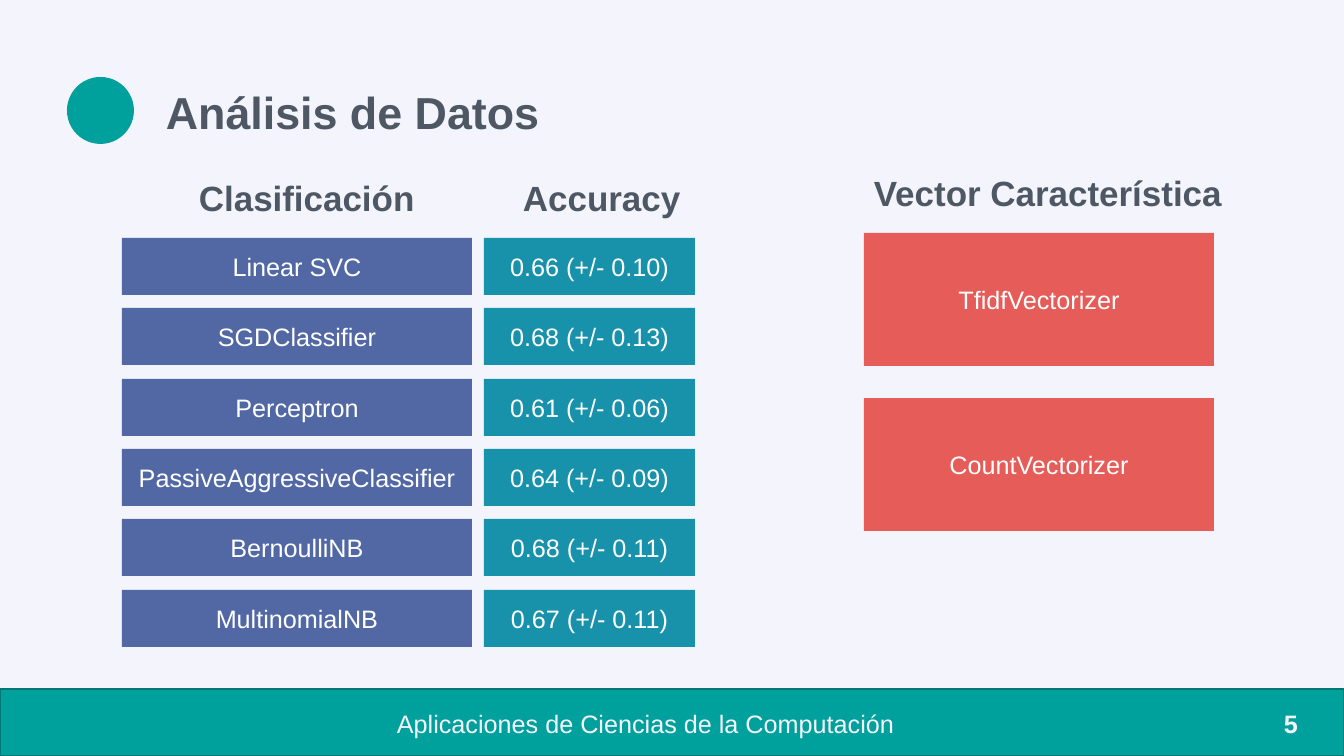
from pptx import Presentation
from pptx.dml.color import RGBColor
from pptx.enum.shapes import MSO_SHAPE
from pptx.enum.text import MSO_ANCHOR, MSO_AUTO_SIZE, PP_ALIGN
from pptx.util import Emu, Pt

RECT, ELLIPSE = MSO_SHAPE.RECTANGLE, MSO_SHAPE.OVAL
MIDDLE, CENTER = MSO_ANCHOR.MIDDLE, PP_ALIGN.CENTER
GROW = MSO_AUTO_SIZE.SHAPE_TO_FIT_TEXT

EMU_PER_PX = 914400 / 100.8
FONT = "Arial"
PALE, INK, WHITE = "F4F5FC", "4E5865", "FFFFFF"
TEAL, DARK_TEAL = "00A09D", "007674"
BLUE, CYAN, CORAL = "5268A5", "1891AB", "E55C59"


def px(length):
    return Emu(round(length * EMU_PER_PX))


def color(hex_string):
    return RGBColor.from_string(hex_string)


class Deck:
    def __init__(self, width, height, background):
        self.prs = Presentation()
        self.prs.slide_width, self.prs.slide_height = px(width), px(height)
        self.slide = self.prs.slides.add_slide(self.prs.slide_layouts[6])
        self.slide.background.fill.solid()
        self.slide.background.fill.fore_color.rgb = color(background)

    def add_run(self, paragraph, text, size, ink, bold=False):
        run = paragraph.add_run()
        run.text = text
        run.font.name, run.font.size, run.font.bold = FONT, Pt(size), bold
        run.font.color.rgb = color(ink)

    def shape(self, box, fill, kind=RECT, outline=None):
        shape = self.slide.shapes.add_shape(kind, *map(px, box))
        shape.shadow.inherit = False
        shape.fill.solid()
        shape.fill.fore_color.rgb = color(fill)
        if outline:
            shape.line.color.rgb = color(outline)
            shape.line.width = Pt(1)
        else:
            shape.line.fill.background()
        return shape

    def block(self, box, fill, text):
        frame = self.shape(box, fill).text_frame
        frame.word_wrap = True
        frame.vertical_anchor = MIDDLE
        frame.paragraphs[0].alignment = CENTER
        self.add_run(frame.paragraphs[0], text, 18, WHITE)

    def label(self, box, text, size, ink=INK, bold=True, wrap=False):
        frame = self.slide.shapes.add_textbox(*map(px, box)).text_frame
        frame.word_wrap = wrap
        frame.auto_size = GROW
        self.add_run(frame.paragraphs[0], text, size, ink, bold)


def main():
    deck = Deck(1344, 756, PALE)

    # Title
    deck.label((156, 80, 397, 65), "Análisis de Datos", 32)
    deck.shape((67, 77, 67, 67), TEAL, ELLIPSE)

    # Footer
    deck.shape((0, 689, 1344, 67), TEAL, outline=DARK_TEAL)
    deck.label((1274, 703, 53, 40), "5", 18, PALE, wrap=True)
    deck.label((387, 703, 522, 40), "Aplicaciones de Ciencias de la Computación",
               18, PALE, bold=False)

    # Classifiers and their accuracy
    accuracies = [
        ("Linear SVC", "0.66 (+/- 0.10)"),
        ("SGDClassifier", "0.68 (+/- 0.13)"),
        ("Perceptron", "0.61 (+/- 0.06)"),
        ("PassiveAggressiveClassifier", "0.64 (+/- 0.09)"),
        ("BernoulliNB", "0.68 (+/- 0.11)"),
        ("MultinomialNB", "0.67 (+/- 0.11)"),
    ]
    for row, (classifier, accuracy) in enumerate(accuracies):
        top = 238 + round(row * 70.3)
        deck.block((122, top, 350, 57), BLUE, classifier)
        deck.block((484, top, 211, 57), CYAN, accuracy)

    # Column headings
    deck.label((189, 172, 239, 52), "Clasificación", 25)
    deck.label((513, 172, 179, 52), "Accuracy", 25)
    deck.label((864, 167, 372, 52), "Vector Característica", 25)

    # Feature vectorizers
    for row, vectorizer in enumerate(["TfidfVectorizer", "CountVectorizer"]):
        deck.block((864, 233 + row * 165, 350, 133), CORAL, vectorizer)

    deck.prs.save("out.pptx")


if __name__ == "__main__":
    main()
